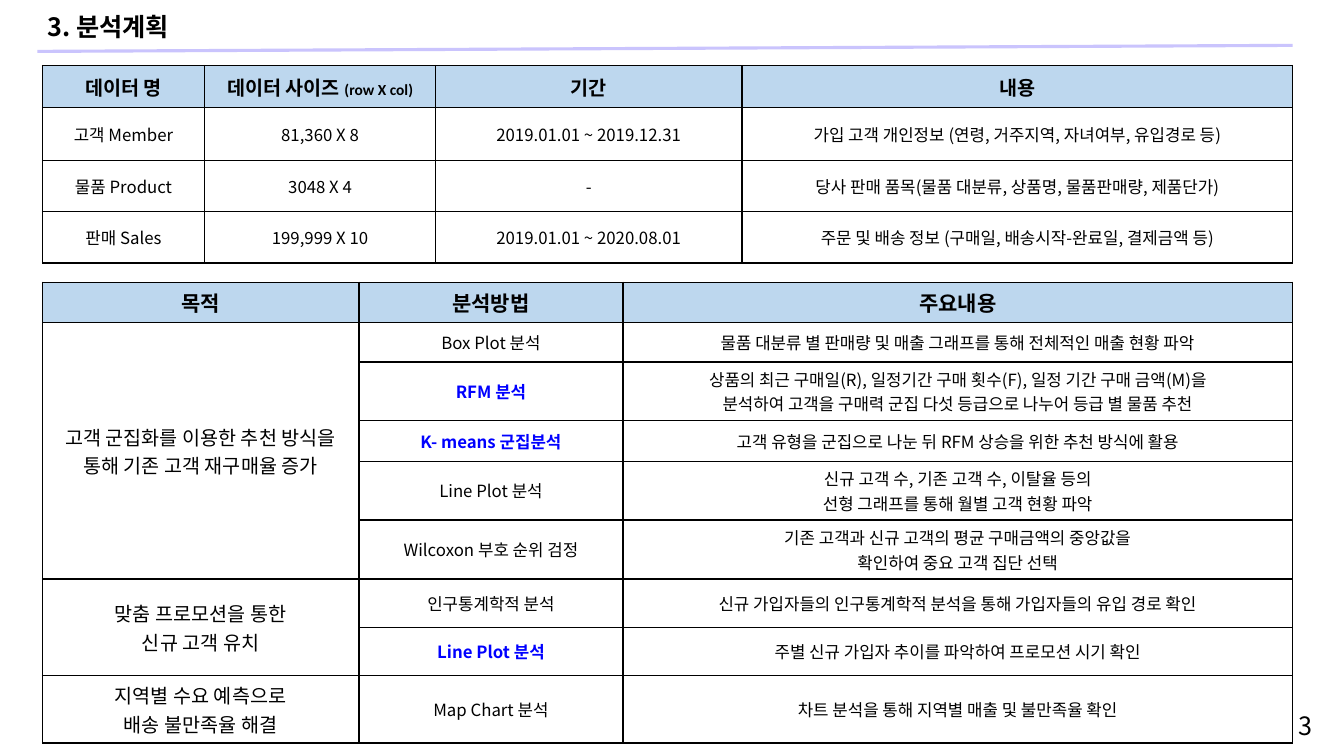
from lxml import etree
from pptx import Presentation
from pptx.dml.color import RGBColor
from pptx.enum.shapes import MSO_CONNECTOR
from pptx.enum.text import MSO_ANCHOR, MSO_AUTO_SIZE, PP_ALIGN
from pptx.oxml.ns import qn
from pptx.util import Inches, Pt

STRAIGHT = MSO_CONNECTOR.STRAIGHT
MIDDLE = MSO_ANCHOR.MIDDLE
NO_FIT, GROW = MSO_AUTO_SIZE.NONE, MSO_AUTO_SIZE.SHAPE_TO_FIT_TEXT
LEFT, CENTER, RIGHT = PP_ALIGN.LEFT, PP_ALIGN.CENTER, PP_ALIGN.RIGHT
COLORS = {"text": "000000", "mark": "0000FF", "header": "BDD7EE", "rule": "CAC4FD"}
NOTO, CALIBRI = "Noto Sans CJK KR", "Calibri"

HEADING = {"name": NOTO, "size": Pt(18), "bold": True}
NUMBER = {"name": NOTO, "size": Pt(18), "bold": False}
DATA_HEAD = {"name": CALIBRI, "size": Pt(14), "bold": True}
PLAN_HEAD = {"name": CALIBRI, "size": Pt(15), "bold": True}
UNIT = {"name": CALIBRI, "size": Pt(11), "bold": True}
PURPOSE = {"name": CALIBRI, "size": Pt(14), "bold": False}
BODY = {"name": NOTO, "size": Pt(12), "bold": False}
MARKED = {"name": NOTO, "size": Pt(12), "bold": True}

DATA_ROWS = [
    ["데이터 명", "데이터 사이즈 ", "기간", "내용"],
    ["고객 Member", "81,360 X 8", "2019.01.01 ~ 2019.12.31",
     "가입 고객 개인정보 (연령, 거주지역, 자녀여부, 유입경로 등)"],
    ["물품 Product", "3048 X 4", "-",
     "당사 판매 품목(물품 대분류, 상품명, 물품판매량, 제품단가)"],
    ["판매 Sales", "199,999 X 10", "2019.01.01 ~ 2020.08.01",
     "주문 및 배송 정보 (구매일, 배송시작-완료일, 결제금액 등)"],
]
# "\n" starts a new paragraph, "\v" a new line in the same one
PLAN_ROWS = [
    ["목적", "분석방법", "주요내용"],
    ["고객 군집화를 이용한 추천 방식을\n통해 기존 고객 재구매율 증가", "Box Plot 분석",
     "물품 대분류 별 판매량 및 매출 그래프를 통해 전체적인 매출 현황 파악"],
    ["", "RFM 분석",
     "상품의 최근 구매일(R), 일정기간 구매 횟수(F), 일정 기간 구매 금액(M)을\v"
     "분석하여 고객을 구매력 군집 다섯 등급으로 나누어 등급 별 물품 추천"],
    ["", "K- means 군집분석", "고객 유형을 군집으로 나눈 뒤 RFM 상승을 위한 추천 방식에 활용"],
    ["", "Line Plot 분석",
     "신규 고객 수, 기존 고객 수, 이탈율 등의\v선형 그래프를 통해 월별 고객 현황 파악"],
    ["", "Wilcoxon 부호 순위 검정",
     "기존 고객과 신규 고객의 평균 구매금액의 중앙값을\v확인하여 중요 고객 집단 선택"],
    ["맞춤 프로모션을 통한\v신규 고객 유치", "인구통계학적 분석",
     "신규 가입자들의 인구통계학적 분석을 통해 가입자들의 유입 경로 확인"],
    ["", "Line Plot 분석", "주별 신규 가입자 추이를 파악하여 프로모션 시기 확인"],
    ["지역별 수요 예측으로\n배송 불만족율 해결", "Map Chart 분석",
     "차트 분석을 통해 지역별 매출 및 불만족율 확인"],
]
MARKED_ROWS = (2, 3, 7)


class Slide:
    def __init__(self, prs):
        self.s = prs.slides.add_slide(prs.slide_layouts[5])

    def style(self, r, fmt, color="text"):
        for key, value in fmt.items():
            setattr(r.font, key, value)
        r.font.color.rgb = RGBColor.from_string(COLORS[color])
        ea = etree.SubElement(r.font._element, qn("a:ea"))
        ea.set("typeface", NOTO)

    def put_text(self, tf, text, fmt, align, color="text"):
        for i, line in enumerate(text.split("\n")):
            p = tf.add_paragraph() if i else tf.paragraphs[0]
            p.text = line
            p.alignment = align
            for r in p.runs:
                self.style(r, fmt, color)

    def title(self, text, left, top, width, height):
        sp = self.s.shapes.title
        sp.left, sp.top, sp.width, sp.height = map(Inches, (left, top, width, height))
        tf = sp.text_frame
        tf.auto_size, tf.word_wrap = NO_FIT, False
        tf.vertical_anchor = MIDDLE
        self.put_text(tf, text, HEADING, LEFT)
        tf.paragraphs[0].line_spacing = 0.9

    def text(self, text, left, top, width, height):
        sp = self.s.shapes.add_textbox(*map(Inches, (left, top, width, height)))
        tf = sp.text_frame
        tf.word_wrap, tf.auto_size = True, GROW
        self.put_text(tf, text, NUMBER, RIGHT)

    def line(self, x1, y1, x2, y2):
        sp = self.s.shapes.add_connector(STRAIGHT, *map(Inches, (x1, y1, x2, y2)))
        sp.line.color.rgb = RGBColor.from_string(COLORS["rule"])
        sp.line.width = Pt(2.25)
        etree.SubElement(sp._element.spPr, qn("a:effectLst"))

    def borders(self, cell):
        """Draw a 1 pt line on all four sides; the lines go before the fill."""
        tcPr = cell._tc.get_or_add_tcPr()
        for i, side in enumerate(("lnL", "lnR", "lnT", "lnB")):
            ln = etree.Element(qn("a:" + side), w=str(Pt(1)))
            fill = etree.SubElement(ln, qn("a:solidFill"))
            etree.SubElement(fill, qn("a:srgbClr"), val=COLORS["text"])
            tcPr.insert(i, ln)

    def table(self, rows, left, top, widths, heights, look):
        """look(row, col) gives the text format and colour of a cell."""
        box = map(Inches, (left, top, sum(widths), sum(heights)))
        table = self.s.shapes.add_table(len(rows), len(widths), *box).table
        table.first_row = table.horz_banding = False
        for column, width in zip(table.columns, widths):
            column.width = Inches(width)
        for i, (row, height) in enumerate(zip(rows, heights)):
            table.rows[i].height = Inches(height)
            for j, text in enumerate(row):
                cell = table.cell(i, j)
                cell.vertical_anchor = MIDDLE
                if i == 0:
                    cell.fill.solid()
                    cell.fill.fore_color.rgb = RGBColor.from_string(COLORS["header"])
                else:
                    cell.fill.background()
                self.borders(cell)
                fmt, color = look(i, j)
                self.put_text(cell.text_frame, text, fmt, CENTER, color)
        return table


def data_look(row, col):
    return (BODY if row else DATA_HEAD), "text"


def plan_look(row, col):
    if row == 0:
        return PLAN_HEAD, "text"
    if col == 0:
        return PURPOSE, "text"
    if col == 1 and row in MARKED_ROWS:
        return MARKED, "mark"
    return BODY, "text"


def main():
    prs = Presentation()
    prs.slide_width, prs.slide_height = Inches(13.33), Inches(7.5)
    slide = Slide(prs)
    slide.line(0.37, 0.51, 12.82, 0.45)
    plan = slide.table(PLAN_ROWS, 0.42, 2.8, [3.14, 2.62, 6.64],
                       [0.33, 0.39, 0.51, 0.4, 0.4, 0.4, 0.48, 0.48, 0.57], plan_look)
    for first, last in ((1, 5), (6, 7)):
        plan.cell(first, 0).merge(plan.cell(last, 0))
    slide.title("3. 분석계획", 0.37, 0.08, 1.76, 0.41)
    slide.text("3", 12.14, 7, 0.98, 0.41)
    data = slide.table(DATA_ROWS, 0.42, 0.65, [1.61, 2.29, 3.04, 5.46],
                       [0.42, 0.52, 0.51, 0.51], data_look)
    r = data.cell(0, 1).text_frame.paragraphs[0].add_run()
    r.text = "(row X col)"
    slide.style(r, UNIT)
    prs.save("out.pptx")


if __name__ == "__main__":
    main()
